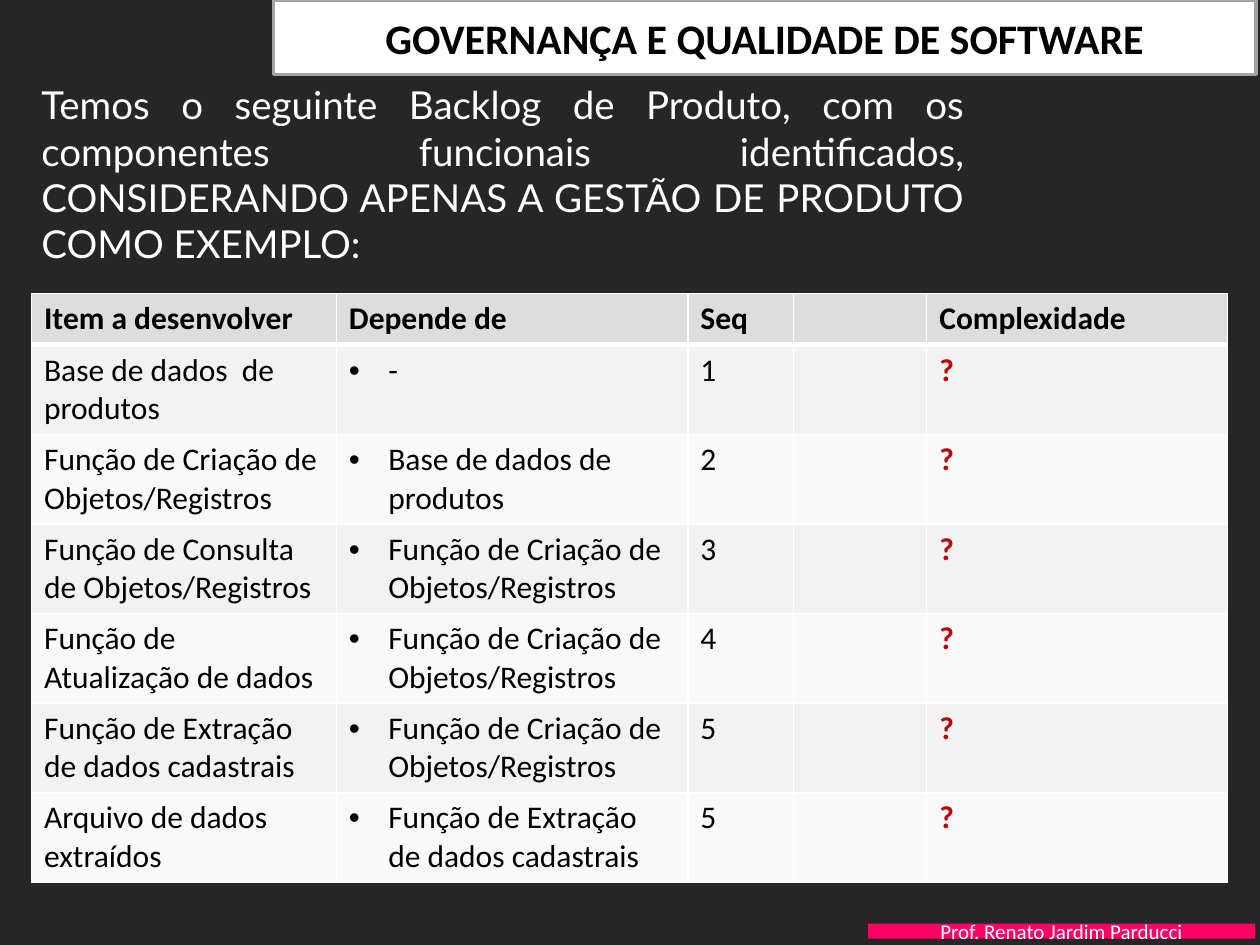
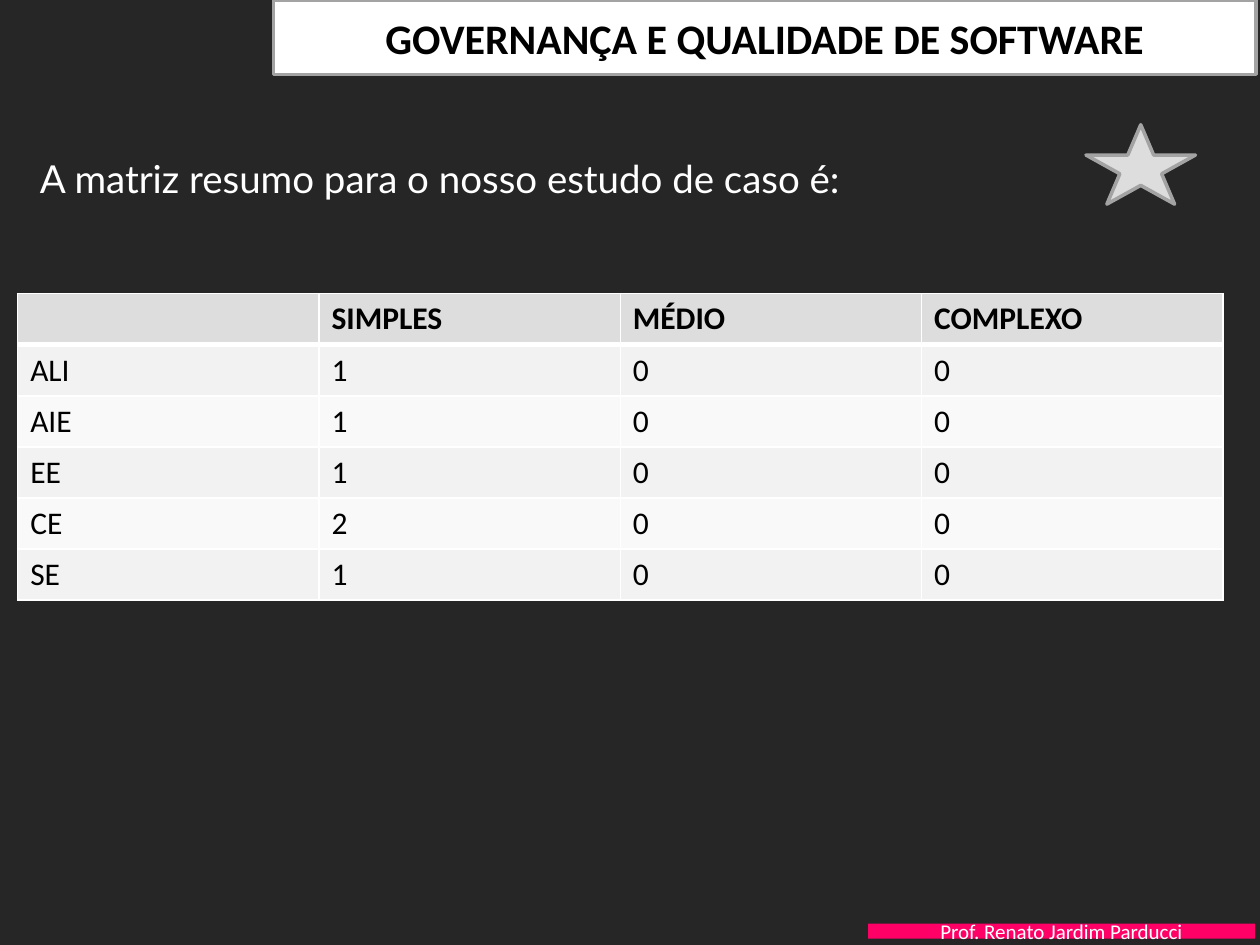
from dataclasses import dataclass

from lxml.etree import SubElement
from pptx import Presentation
from pptx.dml.color import RGBColor
from pptx.enum.shapes import MSO_SHAPE
from pptx.enum.text import MSO_ANCHOR, MSO_AUTO_SIZE, PP_ALIGN
from pptx.oxml.ns import qn
from pptx.util import Pt


@dataclass(frozen=True)
class Theme:
    background: str = "262626"
    white: str = "FFFFFF"
    black: str = "000000"
    outline: str = "A3A3A3"
    accent: str = "FF0066"
    alert: str = "C00000"
    header: str = "DDDDDD"
    bands: tuple = ("F2F2F2", "F9F9F9")
    font: str = "Calibri"
    intro_font: str = "Lato"
    title_size: int = 24
    intro_size: int = 22
    table_size: int = 18
    footer_size: int = 12
    row_height: float = 29.2
    tall_row: float = 51.1


T = Theme()

BACKLOG = [
    ["Item a desenvolver", "Depende de", "Seq", "", "Complexidade"],
    ["Base de dados  de produtos", "-", "1", "", "?"],
    ["Função de Criação de Objetos/Registros", "Base de dados de produtos", "2", "", "?"],
    ["Função de Consulta de Objetos/Registros", "Função de Criação de Objetos/Registros",
     "3", "", "?"],
    ["Função de Atualização de dados", "Função de Criação de Objetos/Registros", "4", "", "?"],
    ["Função de Extração de dados cadastrais", "Função de Criação de Objetos/Registros",
     "5", "", "?"],
    ["Arquivo de dados extraídos", "Função de Extração de dados cadastrais", "5", "", "?"],
]
SUMMARY = [
    ["", "SIMPLES", "MÉDIO", "COMPLEXO"],
    ["ALI", "1", "0", "0"],
    ["AIE", "1", "0", "0"],
    ["EE", "1", "0", "0"],
    ["CE", "2", "0", "0"],
    ["SE", "1", "0", "0"],
]


def rgb(color):
    return RGBColor.from_string(color)


def write(tf, text, *, size, color=T.black, font=T.font, bold=False, align=None, bullet=False):
    p = tf.paragraphs[0]
    p.alignment = align
    if bullet:
        pPr = p._p.get_or_add_pPr()
        indent = Pt(22.5)
        pPr.set("marL", str(indent))
        pPr.set("indent", str(-indent))
        SubElement(pPr, qn("a:buFont"), typeface="Arial")
        SubElement(pPr, qn("a:buChar"), char="•")
    r = p.add_run()
    r.text = text
    r.font.name, r.font.size, r.font.bold = font, Pt(size), bold
    r.font.color.rgb = rgb(color)


def add_shape(s, kind, box, fill, line=None):
    sp = s.shapes.add_shape(kind, *map(Pt, box))
    sp.shadow.inherit = False
    sp.fill.solid()
    sp.fill.fore_color.rgb = rgb(fill)
    if line:
        sp.line.color.rgb = rgb(line)
        sp.line.width = Pt(2)
    else:
        sp.line.fill.background()
    return sp


def add_base_slide(prs):
    """Add a slide with the shared background, title band and footer."""
    s = prs.slides.add_slide(prs.slide_layouts[6])
    s.background.fill.solid()
    s.background.fill.fore_color.rgb = rgb(T.background)
    band = add_shape(s, MSO_SHAPE.RECTANGLE, (156.2, 0, 561.6, 42.5), T.white, T.outline)
    write(band.text_frame, "GOVERNANÇA E QUALIDADE DE SOFTWARE",
          size=T.title_size, bold=True, align=PP_ALIGN.CENTER)
    footer = add_shape(s, MSO_SHAPE.RECTANGLE, (496.1, 527.8, 221, 8.6), T.accent)
    write(footer.text_frame, "Prof. Renato Jardim Parducci",
          size=T.footer_size, color=T.white, align=PP_ALIGN.CENTER)
    return s


def add_intro(s, box, text):
    tf = s.shapes.add_textbox(*map(Pt, box)).text_frame
    tf.word_wrap = True
    tf.auto_size = MSO_AUTO_SIZE.SHAPE_TO_FIT_TEXT
    tf.vertical_anchor = MSO_ANCHOR.MIDDLE
    tf.margin_bottom = 0
    write(tf, text, size=T.intro_size, color=T.white, font=T.intro_font, align=PP_ALIGN.JUSTIFY)


def set_borders(cell, **widths):
    tcPr = cell._tc.get_or_add_tcPr()
    for side in "LRTB":
        ln = SubElement(tcPr, qn(f"a:ln{side}"), w=str(Pt(widths.get(side, 1))))
        SubElement(SubElement(ln, qn("a:solidFill")), qn("a:srgbClr"), val=T.white)


def add_grid(s, left, top, widths, rows, body_height=T.row_height, bullet_col=None):
    heights = [T.row_height] + [body_height] * (len(rows) - 1)
    table = s.shapes.add_table(len(rows), len(widths), Pt(left), Pt(top),
                               Pt(sum(widths)), Pt(sum(heights))).table
    for column, width in zip(table.columns, widths):
        column.width = Pt(width)
    for i, (row, height) in enumerate(zip(rows, heights)):
        table.rows[i].height = Pt(height)
        for j, text in enumerate(row):
            cell = table.cell(i, j)
            set_borders(cell, T=3 if i == 1 else 1, B=3 if i == 0 else 1)
            cell.fill.solid()
            cell.fill.fore_color.rgb = rgb(T.bands[(i - 1) % 2] if i else T.header)
            if text:
                pending = text == "?"
                write(cell.text_frame, text, size=T.table_size,
                      color=T.alert if pending else T.black,
                      bold=i == 0 or pending, bullet=i > 0 and j == bullet_col)


def add_backlog_slide(prs):
    s = add_base_slide(prs)
    add_grid(s, 18, 167.8, [174.2, 200.9, 60.5, 76, 171.8], BACKLOG, T.tall_row, bullet_col=1)
    add_intro(s, (16.6, 42.5, 541.4, 110.2),
              "Temos o seguinte Backlog de Produto, com os componentes funcionais identificados, "
              "CONSIDERANDO APENAS A GESTÃO DE PRODUTO COMO EXEMPLO:")


def add_summary_slide(prs):
    s = add_base_slide(prs)
    add_intro(s, (15.8, 85, 542.9, 30.2), "A matriz resumo para o nosso estudo de caso é:")
    add_shape(s, MSO_SHAPE.STAR_5_POINT, (620.6, 71.3, 62.6, 45.4), T.header, T.outline)
    add_grid(s, 10.1, 167.8, [172.2] * 4, SUMMARY)


def main():
    prs = Presentation()
    prs.slide_width, prs.slide_height = Pt(720), Pt(540)
    add_backlog_slide(prs)
    add_summary_slide(prs)
    prs.save("out.pptx")


if __name__ == "__main__":
    main()
